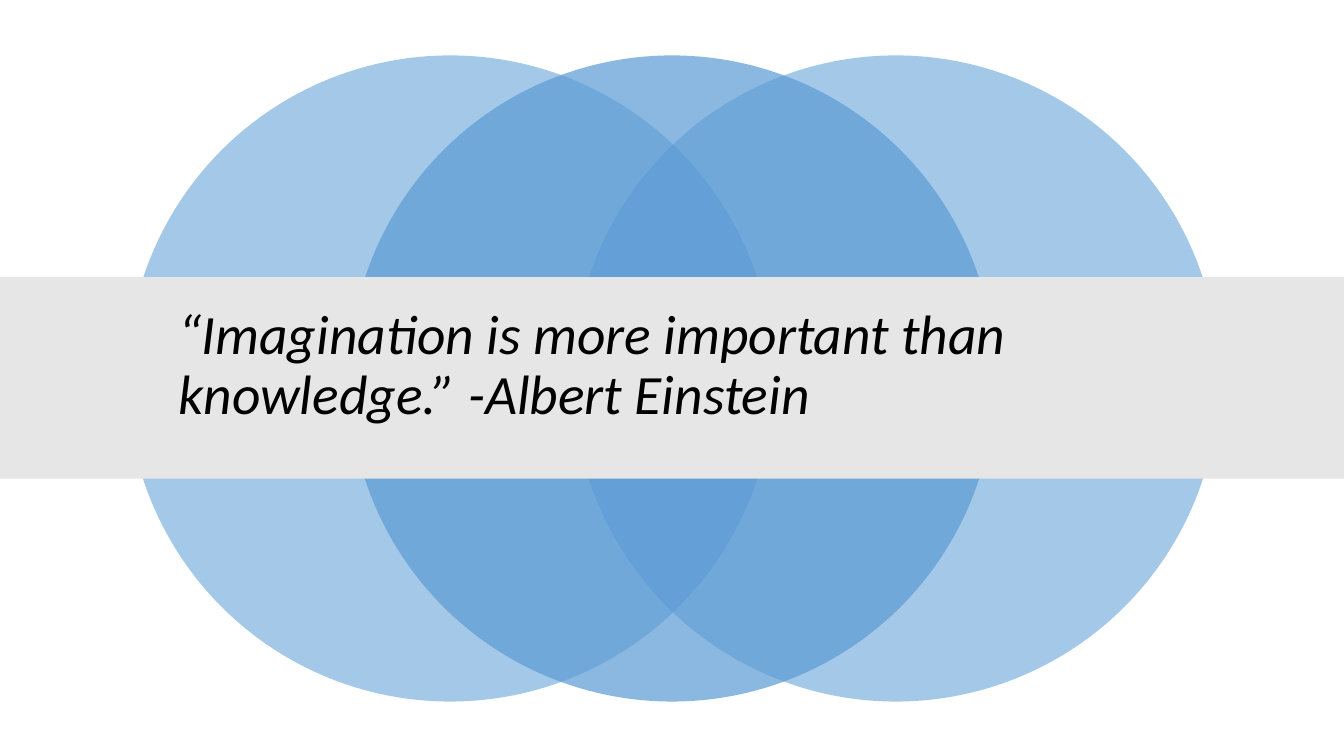
import dataclasses

import lxml.etree
import pptx
import pptx.dml.color
import pptx.enum.shapes
import pptx.enum.text
import pptx.oxml.ns
import pptx.util

COLORS = {"blue": "5B9BD5", "band": "E7E6E6", "text": "000000", "page": "FFFFFF"}
SHAPES = pptx.enum.shapes.MSO_SHAPE
Inches = pptx.util.Inches
DIAMETER = 6.41


@dataclasses.dataclass
class Block:
    """A filled outline-free shape, with lengths in inches and opacity in percent."""
    kind: pptx.enum.shapes.MSO_SHAPE
    left: float
    top: float
    width: float
    height: float
    color: str
    opacity: int = 100


def rgb(name: str) -> pptx.dml.color.RGBColor:
    """Look up a palette colour."""
    return pptx.dml.color.RGBColor.from_string(COLORS[name])


def add_block(s: pptx.slide.Slide, block: Block) -> None:
    """Draw one block on the slide."""
    box = (block.left, block.top, block.width, block.height)
    sp = s.shapes.add_shape(block.kind, *map(Inches, box))
    sp.shadow.inherit = False
    sp.line.fill.background()
    sp.fill.solid()
    sp.fill.fore_color.rgb = rgb(block.color)
    if block.opacity < 100:
        qn = pptx.oxml.ns.qn
        color = sp._element.spPr.find(qn("a:solidFill")).find(qn("a:srgbClr"))
        lxml.etree.SubElement(color, qn("a:alpha"), val=str(block.opacity * 1000))


def set_text(tf: pptx.text.text.TextFrame, text: str, *, size: float, font: str,
             color: str, italic: bool = False, spacing: float = 1.0) -> None:
    """Write one left-aligned, vertically centred paragraph in the given format."""
    tf.word_wrap = True
    tf.auto_size = pptx.enum.text.MSO_AUTO_SIZE.NONE
    tf.vertical_anchor = pptx.enum.text.MSO_ANCHOR.MIDDLE
    p = tf.paragraphs[0]
    p.alignment = pptx.enum.text.PP_ALIGN.LEFT
    p.line_spacing = spacing
    r = p.add_run()
    r.text = text
    r.font.size = pptx.util.Pt(size)
    r.font.name = font
    r.font.italic = italic
    r.font.color.rgb = rgb(color)


def main() -> None:
    """Build the quotation slide."""
    prs = pptx.Presentation()
    prs.slide_width, prs.slide_height = Inches(13.33), Inches(7.5)
    s = prs.slides.add_slide(prs.slide_layouts[5])
    s.background.fill.solid()
    s.background.fill.fore_color.rgb = rgb("page")

    for left, opacity in ((1.26, 55), (5.68, 55), (3.46, 70)):
        add_block(s, Block(SHAPES.OVAL, left, 0.55, DIAMETER, DIAMETER, "blue", opacity))
    add_block(s, Block(SHAPES.RECTANGLE, 0, 2.75, 13.33, 2, "band"))

    title = s.shapes.title
    title.left, title.top = Inches(1.67), Inches(3.02)
    title.width, title.height = Inches(10), Inches(1.23)
    set_text(title.text_frame,
             "“Imagination is more important than knowledge.” -Albert Einstein",
             size=39.6, font="Calibri", color="text", italic=True, spacing=0.9)
    s.shapes._spTree.append(title._element)
    prs.save("out.pptx")


if __name__ == "__main__":
    main()
